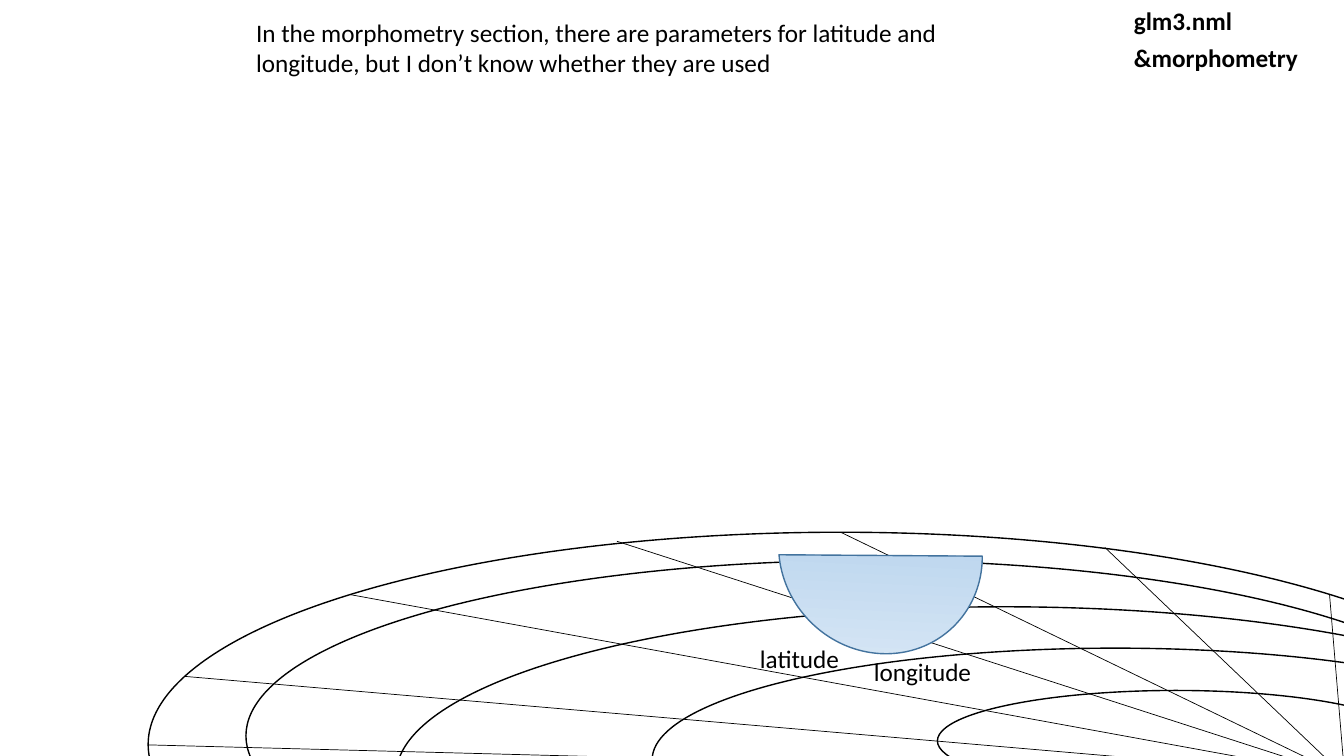
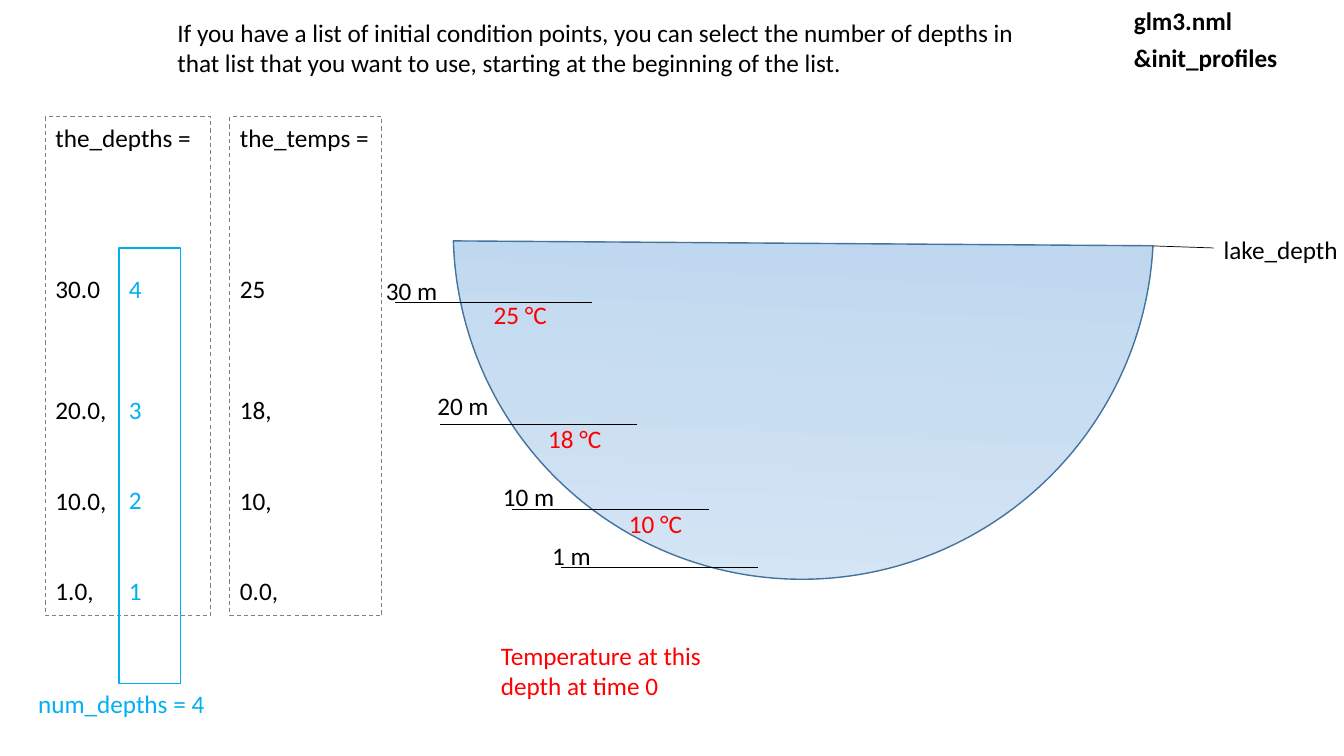
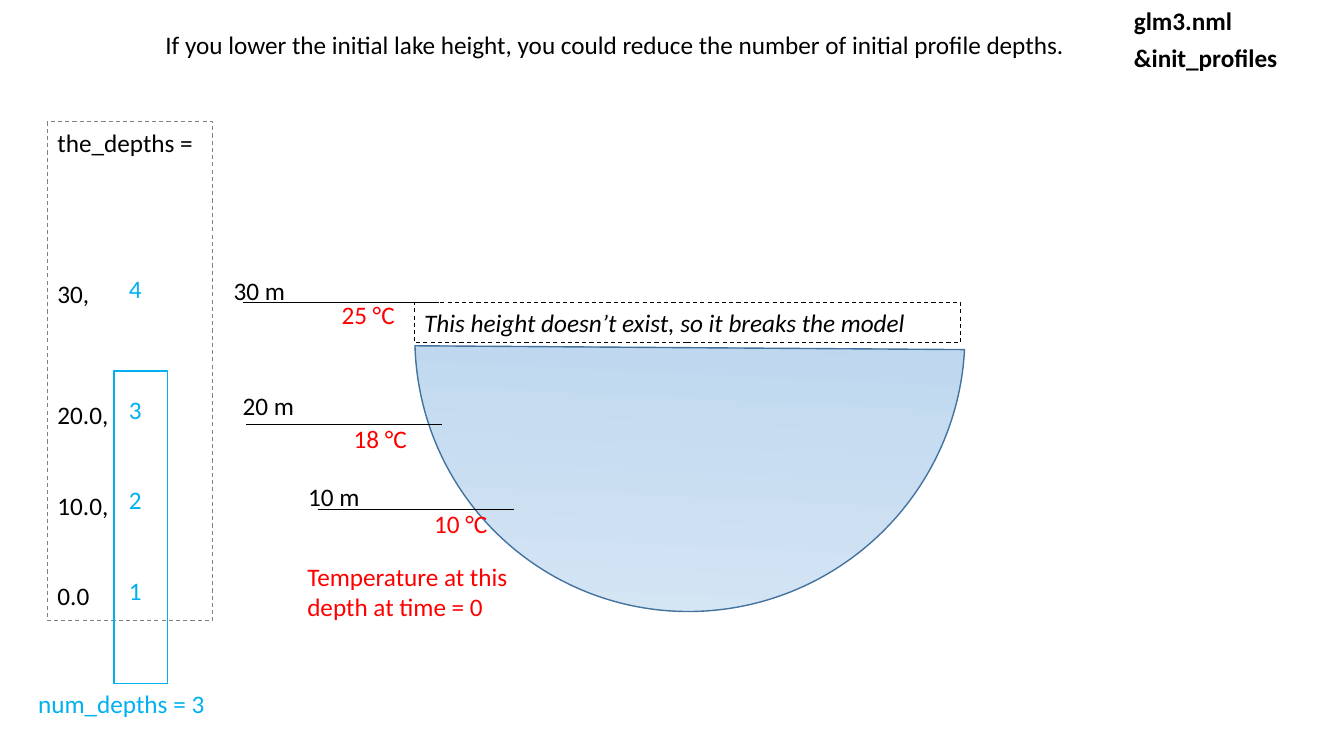
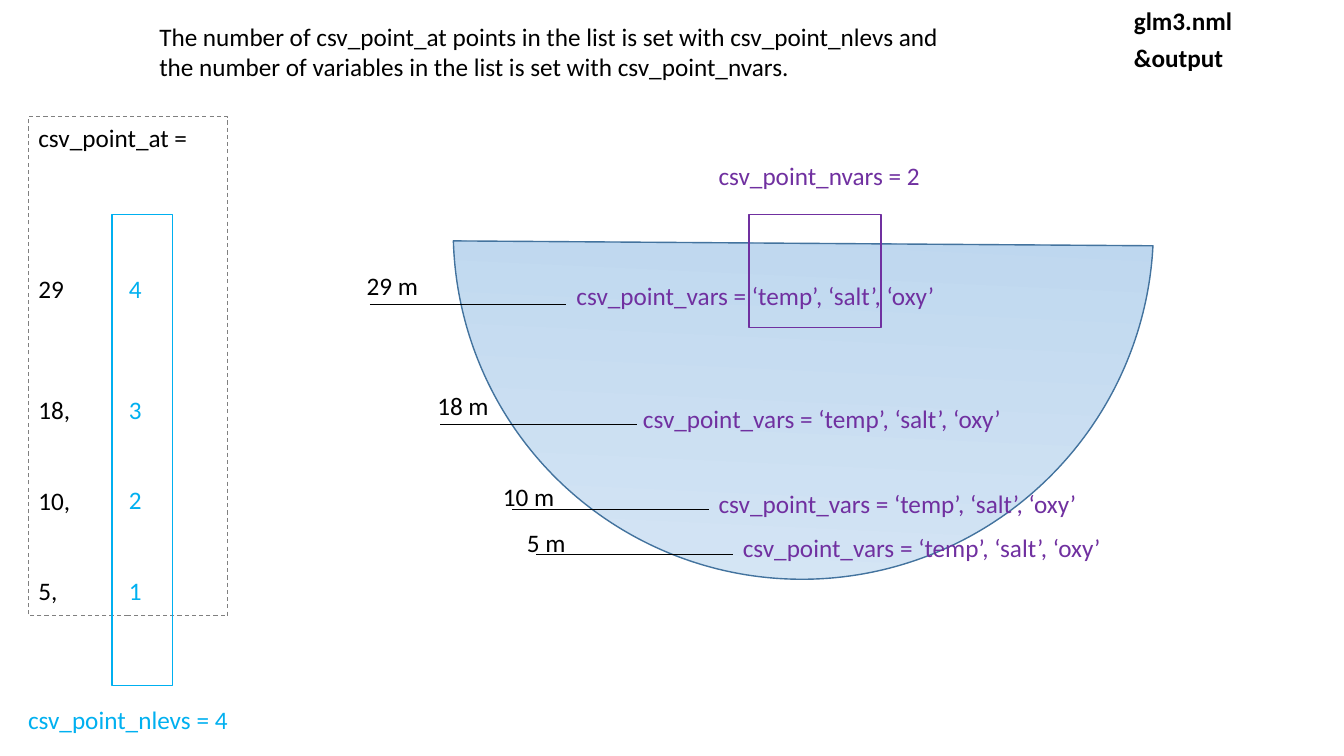
from lxml.etree import SubElement
from pptx import Presentation
from pptx.dml.color import RGBColor as Rgb
from pptx.enum.dml import MSO_LINE
from pptx.enum.shapes import MSO_CONNECTOR as Wire, MSO_SHAPE as Form
from pptx.enum.text import MSO_ANCHOR, MSO_AUTO_SIZE, PP_ALIGN
from pptx.oxml.ns import qn
from pptx.util import Inches, Pt

CELL = Inches(0.1)  # the grid has 133.33 columns and 75 rows
INK = {"black": "000000", "gray": "808080", "red": "FF0000", "cyan": "00B0F0",
       "purple": "7030A0", "rim": "43739E", "pale": "DEEBF7", "deep": "9DC3E6"}
LINE = 21.6  # points from one row of a list to the next
STEPS = (5, 4, 3, 3)  # rows from each list entry to the one before it
MARK = 19.5  # length of a depth mark
HUB = (133.4, 77)
LOW, HIGH = (-1.9, -3.2), (-1.3, -3.9)  # label places beside a mark
VARS = "csv_point_vars = ‘temp’, ‘salt’, ‘oxy’"


def write(shapes, at, text, ink="black", item=None, steps=(), **look):
    """Put text in the given item, or in a new text box, at a grid place."""
    spot = [round(n * CELL) for n in at]
    item = item or shapes.add_textbox(*spot)
    for name, size in zip(("left", "top", "width", "height"), spot):
        setattr(item, name, size)
    frame = item.text_frame
    frame.word_wrap = True
    frame.auto_size = MSO_AUTO_SIZE.NONE
    frame.vertical_anchor = MSO_ANCHOR.TOP
    for i, words in enumerate(text.split("\n")):
        para = frame.add_paragraph() if i else frame.paragraphs[0]
        para.alignment = PP_ALIGN.LEFT
        para.space_before = Pt(LINE * (steps[i - 1] - 1) if i and steps else 0)
        props = para._p.get_or_add_pPr()
        props.set("marL", "0")
        props.set("indent", "0")
        SubElement(props, qn("a:buNone"))
        run = para.add_run()
        run.text = words
        run.font.color.rgb = Rgb.from_string(INK[ink])
        style = {"name": "Calibri", "size": Pt(18), **look}
        for name, value in style.items():
            setattr(run.font, name, value)
    return item


def draw(shapes, form, at, ink="black", width=1):
    """Outline a shape at a grid place, or a line from point to point."""
    spot = [round(n * CELL) for n in at]
    if form is Wire.STRAIGHT:
        item = shapes.add_connector(form, *spot)
        SubElement(item._element.spPr, qn("a:effectLst"))
    else:
        item = shapes.add_shape(form, *spot)
        item.shadow.inherit = False
        item.fill.background()
    item.line.color.rgb = Rgb.from_string(INK[ink])
    item.line.width = Pt(width)
    return item


# A mark is x, y, label, label place, note, note place.
pages = [
    {"layout": 5, "part": "&morphometry", "title": (24.4, 1.2, 73.9, 7.1),
     "text": "In the morphometry section, there are parameters for latitude and "
             "longitude, but I don’t know whether they are used",
     "rings": [(14.7, 52.8, 137.3, 42.1), (24.4, 55.6, 123.6, 34.8),
               (39.3, 60.2, 120.7, 33.4), (64.7, 64.3, 91.9, 22.1),
               (93, 68.5, 47.3, 10)],
     "rays": [(14.7, 73.9), (18.3, 67.1), (34.8, 59), (61.2, 53.7),
              (83.4, 52.8), (109.6, 54.3), (131.9, 59)],
     "lake": (77.5, 44.3, 19.7, 20.8),
     "texts": [((74.4, 63.3, 11.1, 4), "latitude", "black"),
               ((85.7, 64.6, 13.4, 3.6), "longitude", "black")]},
    {"layout": 3, "part": "&init_profiles", "title": (16.6, 1.2, 89.4, 7.1),
     "text": "If you have a list of initial condition points, you can select the "
             "number of depths in that list that you want to use, starting at the "
             "beginning of the list.",
     "lake": (44.9, -11.9, 69.6, 69.3),
     "lists": [((4.5, 11.6, 16.4, 49.5), "the_depths =\n30.0\n20.0,\n10.0,\n1.0,"),
               ((22.8, 11.6, 15.1, 49.5), "the_temps =\n25\n18,\n10,\n0.0,")],
     "frames": [((11.8, 24.6, 6.1, 43.2), "cyan")],
     "marks": [(39.2, 30, "30 m", LOW, "25 °C", (8.8, -0.8)),
               (43.7, 42.1, "20 m", HIGH, "18 °C", (9.7, -0.6)),
               (50.8, 50.5, "10 m", LOW, "10 °C", (10.6, -0.6)),
               (55.7, 56.3, "1 m", LOW, "", ())],
     "note": (7.6, "red"),
     "lead": (114.4, 24.4, 120.4, 24.6),
     "texts": [((48.7, 63, 25.2, 7.1), "Temperature at this depth at time 0", "red"),
               ((2.8, 67.8, 20.7, 4), "num_depths = 4", "cyan")]},
    {"layout": 1, "part": "&init_profiles", "title": (15.4, 2.4, 91.7, 4),
     "text": "If you lower the initial lake height, you could reduce the number of "
             "initial profile depths.",
     "lake": (41.1, 6.2, 54.7, 54.4),
     "lists": [((4.7, 12.1, 16.4, 49.5), "the_depths =\n30,\n20.0,\n10.0,\n0.0")],
     "frames": [((11.3, 36.8, 5.3, 31), "cyan")],
     "marks": [(24.1, 30, "30 m", LOW, "25 °C", (8.8, -0.8)),
               (24.4, 42.1, "20 m", HIGH, "18 °C", (9.7, -0.6)),
               (31.5, 50.5, "10 m", LOW, "10 °C", (10.6, -0.6))],
     "note": (7.6, "red"),
     "gap": (41.1, 30, 54.2, 4),
     "texts": [((29.5, 55.2, 25.2, 7.1), "Temperature at this depth at time = 0", "red"),
               ((2.8, 67.8, 20.7, 4), "num_depths = 3", "cyan")]},
    {"layout": 1, "part": "&output", "title": (14.8, 1.6, 91.9, 7.1),
     "text": "The number of csv_point_at points in the list is set with "
             "csv_point_nlevs and\nthe number of variables in the list is set with "
             "csv_point_nvars.",
     "lake": (44.9, -11.9, 69.6, 69.3),
     "lists": [((2.8, 11.6, 19.8, 49.5), "csv_point_at =\n29\n18,\n10,\n5,")],
     "frames": [((11.1, 21.3, 6, 46.7), "cyan"),
                ((74.3, 21.3, 13.1, 11.2), "purple")],
     "marks": [(36.7, 30.2, "29 m", HIGH, VARS, (19.5, -2.9)),
               (43.7, 42.1, "18 m", HIGH, VARS, (19.1, -2.6)),
               (50.8, 50.5, "10 m", LOW, VARS, (19.5, -2.5)),
               (53.2, 55, "5 m", LOW, VARS, (19.5, -2.7))],
     "note": (37.8, "purple"),
     "texts": [((1.8, 69.4, 22.7, 4), "csv_point_nlevs = 4", "cyan"),
               ((70.3, 15.4, 22.7, 4), "csv_point_nvars = 2", "purple")]},
]

deck = Presentation()
deck.slide_width = round(133.33 * CELL)
deck.slide_height = 75 * CELL

for page in pages:
    sheet = deck.slides.add_slide(deck.slide_layouts[page["layout"]])
    shapes = sheet.shapes
    write(shapes, page["title"], page["text"], item=shapes.title)

    for ring in page.get("rings", ()):
        draw(shapes, Form.OVAL, ring)
    for end in page.get("rays", ()):
        draw(shapes, Wire.STRAIGHT, HUB + end, width=0.5)

    lake = draw(shapes, Form.CHORD, page["lake"], "rim")
    lake.rotation = 317.7
    lake.adjustments[0], lake.adjustments[1] = 27, 132.24
    lake.fill.gradient()
    lake.fill.gradient_angle = 45
    for stop, tint in zip(lake.fill.gradient_stops, ("pale", "deep")):
        stop.color.rgb = Rgb.from_string(INK[tint])

    for x, y, label, (dx, dy), note, shift in page.get("marks", ()):
        draw(shapes, Wire.STRAIGHT, (x, y, x + MARK, y), width=0.5)
        write(shapes, (x + dx, y + dy, 7.6, 4), label)
        if note:
            wide, ink = page["note"]
            write(shapes, (x + shift[0], y + shift[1], wide, 4), note, ink)

    slots = list(sheet.placeholders)[1:]
    for slot, (at, rows) in zip(slots, page.get("lists", ())):
        write(shapes, at, rows, item=slot, steps=STEPS)
        slot.line.color.rgb = Rgb.from_string(INK["gray"])
        slot.line.width = Pt(0.75)
        slot.line.dash_style = MSO_LINE.DASH
    if slots:
        write(shapes, (11.8, 26.6, 6.1, 34.5), "4\n3\n2\n1", "cyan", steps=STEPS[1:])
    for at, ink in page.get("frames", ()):
        draw(shapes, Form.RECTANGLE, at, ink)

    if "gap" in page:
        gap = draw(shapes, Form.RECTANGLE, page["gap"], width=0.75)
        gap.line.dash_style = MSO_LINE.DASH
        write(shapes, page["gap"], "This height doesn’t exist, so it breaks the model",
              item=gap, italic=True)
    if "lead" in page:
        name = write(shapes, (120.4, 22.8, 14.6, 3.6), "lake_depth")
        lead = draw(shapes, Wire.STRAIGHT, page["lead"], width=0.5)
        lead.end_connect(name, 1)

    for at, words, ink in page["texts"]:
        write(shapes, at, words, ink)
    for top, words in ((0, "glm3.nml"), (3.7, page["part"])):
        write(shapes, (111.5, top, 19.8, 4), words, bold=True)

deck.save("out.pptx")
